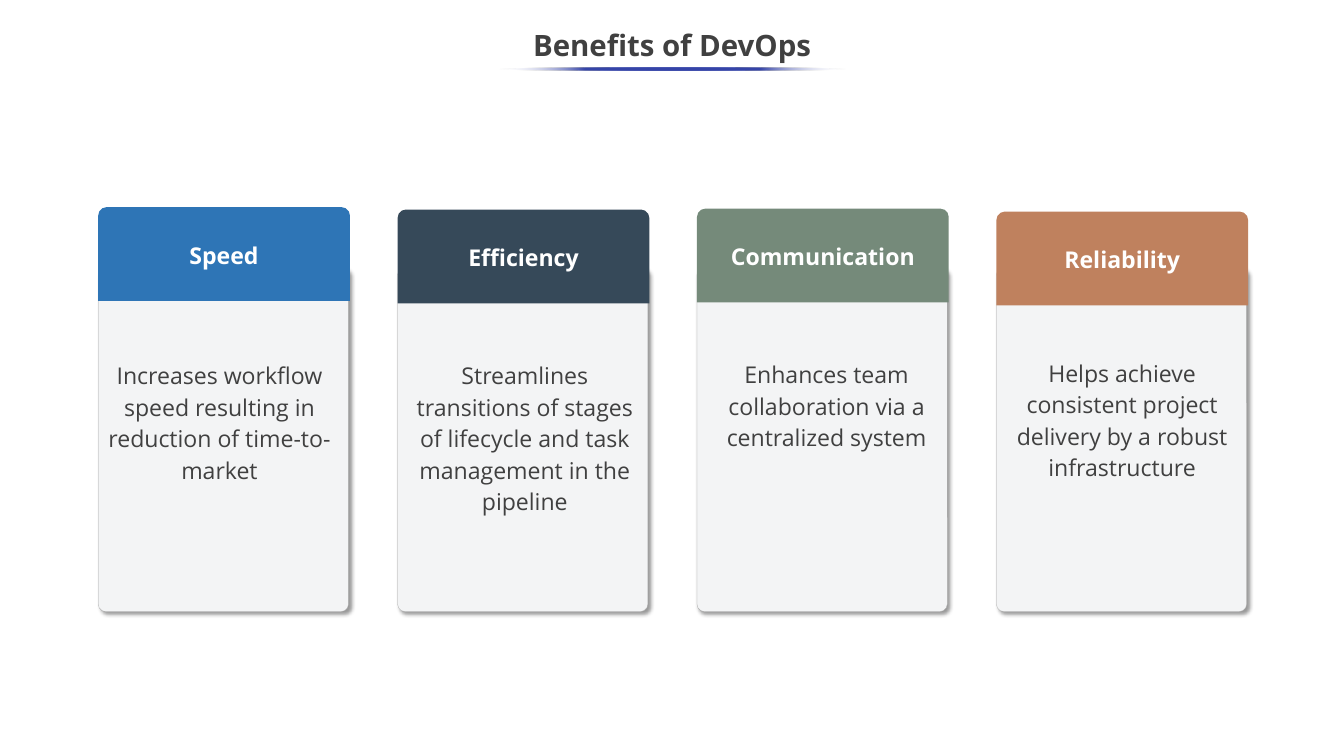
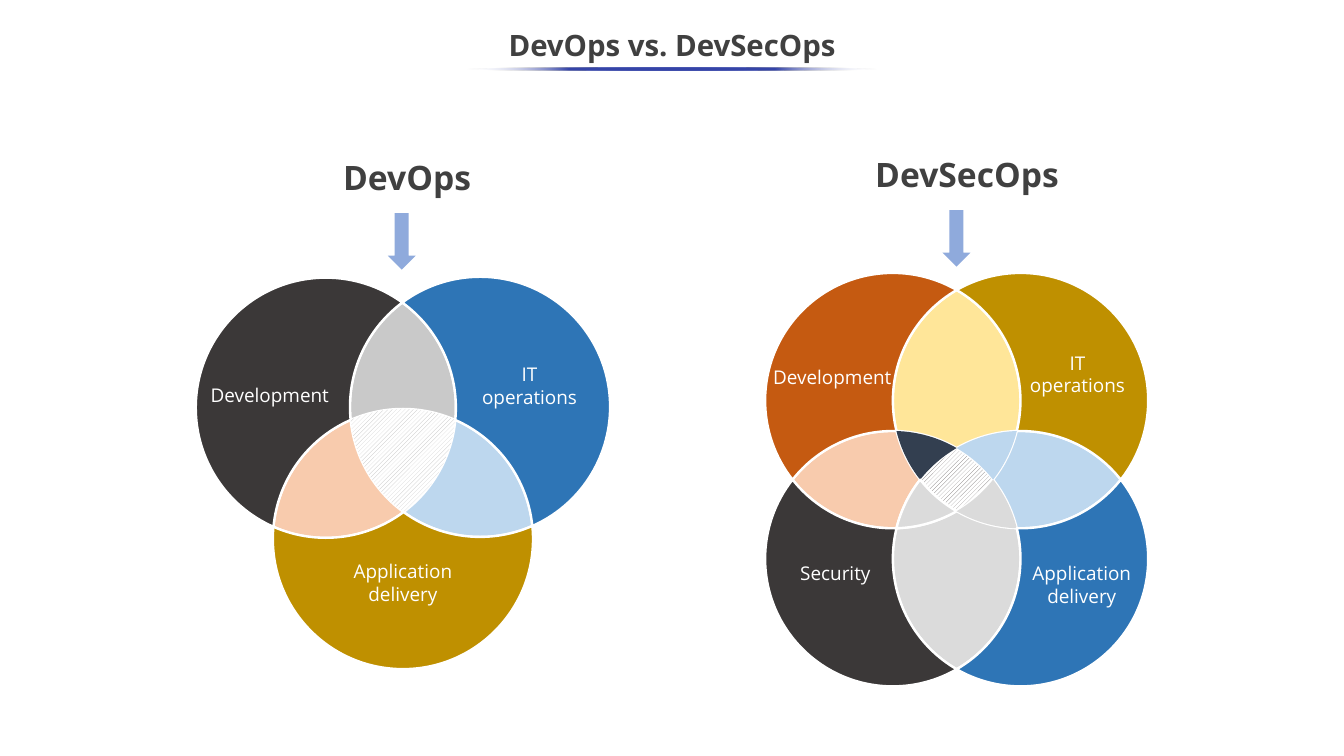
"""Build two slides: the benefits of DevOps, and DevOps against DevSecOps."""
import math

import lxml.etree
import pptx
import pptx.dml.color
import pptx.enum.dml
import pptx.enum.shapes
import pptx.enum.text
import pptx.oxml.ns
import pptx.util

Cm = pptx.util.Cm
qn = pptx.oxml.ns.qn
SHAPE = pptx.enum.shapes.MSO_SHAPE
ANCHOR = pptx.enum.text.MSO_ANCHOR
ALIGN = pptx.enum.text.PP_ALIGN
FONT = "Open Sans"
COLORS = {
    "white": "FFFFFF", "text": "404040", "underline": "3645A9",
    "card": "F3F4F5", "card_line": "A6A6A6", "shadow": "000000",
    "blue": "2E75B6", "slate": "364959", "sage": "758A7A", "copper": "BF815E",
    "charcoal": "3B3838", "gold": "BF9000", "rust": "C55A11", "navy": "333F50",
    "peach": "F8CBAD", "sky": "BDD7EE", "yellow": "FFE699", "silver": "C9C9C9",
    "pale": "DBDBDB", "arrow": "8FAADC", "hatch_light": "BFBFBF", "hatch_dark": "767171",
}


def write(tf, text, size=18, color="white", bold=False, align=ALIGN.CENTER,
          spacing=None, anchor=ANCHOR.TOP, wrap=True, inset=None):
    tf.word_wrap = wrap
    tf.vertical_anchor = anchor
    if inset is not None:
        tf.margin_left = tf.margin_right = tf.margin_top = tf.margin_bottom = Cm(inset)
    for i, line in enumerate(text.split("\n")):
        p = tf.add_paragraph() if i else tf.paragraphs[0]
        p.alignment = align
        p.line_spacing = spacing
        r = p.add_run()
        r.text = line
        r.font.name = FONT
        r.font.size = pptx.util.Pt(size)
        r.font.bold = bold
        r.font.color.rgb = pptx.dml.color.RGBColor.from_string(COLORS[color])


def paint(s, fill, line=None, width=2.25):
    s.shadow.inherit = False
    if fill.startswith("hatch"):
        s.fill.patterned()
        s.fill.pattern = pptx.enum.dml.MSO_PATTERN.WIDE_UPWARD_DIAGONAL
        s.fill.back_color.rgb = pptx.dml.color.RGBColor.from_string(COLORS["white"])
    else:
        s.fill.solid()
    s.fill.fore_color.rgb = pptx.dml.color.RGBColor.from_string(COLORS[fill])
    if line:
        s.line.color.rgb = pptx.dml.color.RGBColor.from_string(COLORS[line])
        s.line.width = pptx.util.Pt(width)
    else:
        s.line.fill.background()


prs = pptx.Presentation()
prs.slide_width, prs.slide_height = Cm(45.16), Cm(25.4)

slides = []
for title, underline_width in [("Benefits of DevOps", 11.68), ("DevOps vs. DevSecOps", 13.82)]:
    slide = prs.slides.add_slide(prs.slide_layouts[5])
    slides.append(slide)
    sp = slide.shapes.title
    sp.left, sp.top, sp.width, sp.height = Cm(0), Cm(0.64), Cm(45.16), Cm(1.9)
    write(sp.text_frame, title, size=28, color="text", bold=True, spacing=0.9,
          anchor=ANCHOR.MIDDLE)
    s = slide.shapes.add_shape(SHAPE.OVAL, Cm(22.59 - underline_width / 2), Cm(2.26),
                               Cm(underline_width), Cm(0.1))
    paint(s, "underline")
    s.fill.gradient()
    s.fill.gradient_angle = 180
    stops = s._element.spPr.find(".//" + qn("a:gsLst"))
    for stop in list(stops):
        stops.remove(stop)
    for position in range(0, 101, 25):
        edge = position in (0, 100)
        stop = lxml.etree.SubElement(stops, qn("a:gs"), pos=str(position * 1000))
        clr = lxml.etree.SubElement(stop, qn("a:srgbClr"),
                                    val=COLORS["white" if edge else "underline"])
        if edge:
            lxml.etree.SubElement(clr, qn("a:alpha"), val="0")

benefits, versus = slides

cards = [
    ("Speed", "blue", 6.96, "Increases workflow speed resulting in reduction of time-to-market",
     3.35, 11.89, 4.47),
    ("Efficiency", "slate", 7.04,
     "Streamlines transitions of stages of lifecycle and task management in the pipeline",
     13.61, 11.89, 5.56),
    ("Communication", "sage", 7.01, "Enhances team collaboration via a centralized system",
     23.75, 11.86, 3.4),
    ("Reliability", "copper", 7.11,
     "Helps achieve consistent project delivery by a robust infrastructure",
     33.68, 11.81, 4.47),
]
for i, (heading, color, top, body, body_left, body_top, body_height) in enumerate(cards):
    left = 3.3 + 10.06 * i
    s = benefits.shapes.add_shape(SHAPE.ROUNDED_RECTANGLE, Cm(left), Cm(8.99), Cm(8.41), Cm(11.56))
    s.adjustments[0] = 0.03
    paint(s, "card", "card_line", 0.25)
    shadow = lxml.etree.SubElement(
        s._element.spPr.find(qn("a:effectLst")), qn("a:outerShdw"), blurRad="50800",
        dist="38100", dir="2700000", algn="tl", rotWithShape="0")
    clr = lxml.etree.SubElement(shadow, qn("a:srgbClr"), val=COLORS["shadow"])
    lxml.etree.SubElement(clr, qn("a:alpha"), val="40000")

    s = benefits.shapes.add_shape(SHAPE.ROUND_2_SAME_RECTANGLE, Cm(left), Cm(top), Cm(8.46), Cm(3.15))
    s.adjustments[0] = 0.09
    paint(s, color)
    write(s.text_frame, heading, size=22, bold=True, anchor=ANCHOR.MIDDLE, inset=0.1)

    s = benefits.shapes.add_textbox(Cm(body_left), Cm(body_top), Cm(8.05), Cm(body_height))
    write(s.text_frame, body, size=22, color="text", spacing=1.14)

venns = [
    (4.37, {"D": (10.95, 13.7), "I": (16.13, 13.67), "A": (13.54, 18.11)},
     [("DI", "silver", "white"), ("DA", "peach", "white"), ("IA", "sky", "white"),
      ("I", "blue", "white"), ("D", "charcoal", "white"), ("DIA", "hatch_light", None),
      ("A", "gold", "white")]),
    (4.29, {"D": (30, 13.46), "I": (34.29, 13.46), "S": (30, 18.77), "A": (34.29, 18.77)},
     [("DI", "yellow", "white"), ("DS", "peach", "white"), ("IA", "sky", "white"),
      ("DISA", "hatch_dark", "white"), ("SA", "pale", "white"), ("D", "rust", "white"),
      ("I", "gold", "white"), ("DIS", "navy", None), ("DIA", "sky", None),
      ("S", "charcoal", "white"), ("DSA", "pale", "white"), ("ISA", "pale", None),
      ("A", "blue", "white")]),
]
for radius, circles, regions in venns:
    arcs = []
    for name, (cx, cy) in circles.items():
        cuts = [math.pi / 2 * quarter for quarter in range(4)]
        for other, (ox, oy) in circles.items():
            if other != name:
                base = math.atan2(oy - cy, ox - cx)
                half = math.acos(math.dist((cx, cy), (ox, oy)) / (2 * radius))
                cuts += [(base - half) % math.tau, (base + half) % math.tau]
        cuts.sort()
        for a, b in zip(cuts, cuts[1:] + [math.tau]):
            pull = 4 / 3 * math.tan((b - a) / 4)
            points = [(cx + radius * (math.cos(t) - k * math.sin(t)),
                       cy + radius * (math.sin(t) + k * math.cos(t)))
                      for t, k in [(a, 0), (a, pull), (b, -pull), (b, 0)]]
            mid = (a + b) / 2
            middle = (cx + radius * math.cos(mid), cy + radius * math.sin(mid))
            covers = {k for k, center in circles.items()
                      if k != name and math.dist(middle, center) < radius}
            arcs.append((name, covers, points))
    for region, fill, line in regions:
        edges = [points if name in region else points[::-1]
                 for name, covers, points in arcs if covers == set(region) - {name}]
        outline = [edges.pop(0)]
        while edges:
            edge = min(edges, key=lambda e: math.dist(e[0], outline[-1][-1]))
            edges.remove(edge)
            outline.append(edge)
        builder = versus.shapes.build_freeform(*map(Cm, outline[0][0]))
        builder.add_line_segments([tuple(map(Cm, edge[-1])) for edge in outline], close=True)
        s = builder.convert_to_shape()
        for segment, edge in zip(list(s._element.iter(qn("a:lnTo"))), outline):
            segment.tag = qn("a:cubicBezTo")
            for i, (x, y) in enumerate(edge[1:3]):
                pt = lxml.etree.Element(qn("a:pt"), x=str(Cm(x) - s.left), y=str(Cm(y) - s.top))
                segment.insert(i, pt)
        paint(s, fill, line)

labels = [
    ("Development", 6.83, 12.75, 5.59, 1.27, ALIGN.LEFT),
    ("IT\noperations", 15.93, 12.07, 3.73, 1.8, ALIGN.CENTER),
    ("Application\ndelivery", 11.61, 18.69, 3.86, 1.8, ALIGN.CENTER),
    ("Development", 25.73, 12.17, 4.95, 1.12, ALIGN.LEFT),
    ("IT\noperations", 34.34, 11.68, 3.73, 1.8, ALIGN.CENTER),
    ("Application\ndelivery", 34.42, 18.75, 3.86, 1.8, ALIGN.CENTER),
    ("Security", 26.62, 18.75, 2.9, 1.02, ALIGN.CENTER),
]
for text, left, top, width, height, align in labels:
    s = versus.shapes.add_textbox(Cm(left), Cm(top), Cm(width), Cm(height))
    write(s.text_frame, text, align=align, wrap=False)

for text, left, top, arrow_left, arrow_top in [("DevOps", 11.28, 5.16, 13.03, 7.16),
                                               ("DevSecOps", 29.16, 5.03, 31.67, 7.06)]:
    s = versus.shapes.add_shape(SHAPE.DOWN_ARROW, Cm(arrow_left), Cm(arrow_top), Cm(0.94), Cm(1.9))
    paint(s, "arrow")
    s = versus.shapes.add_textbox(Cm(left), Cm(top), Cm(8.71), Cm(1.63))
    write(s.text_frame, text, size=32, color="text", bold=True, align=ALIGN.LEFT)

prs.save("out.pptx")
